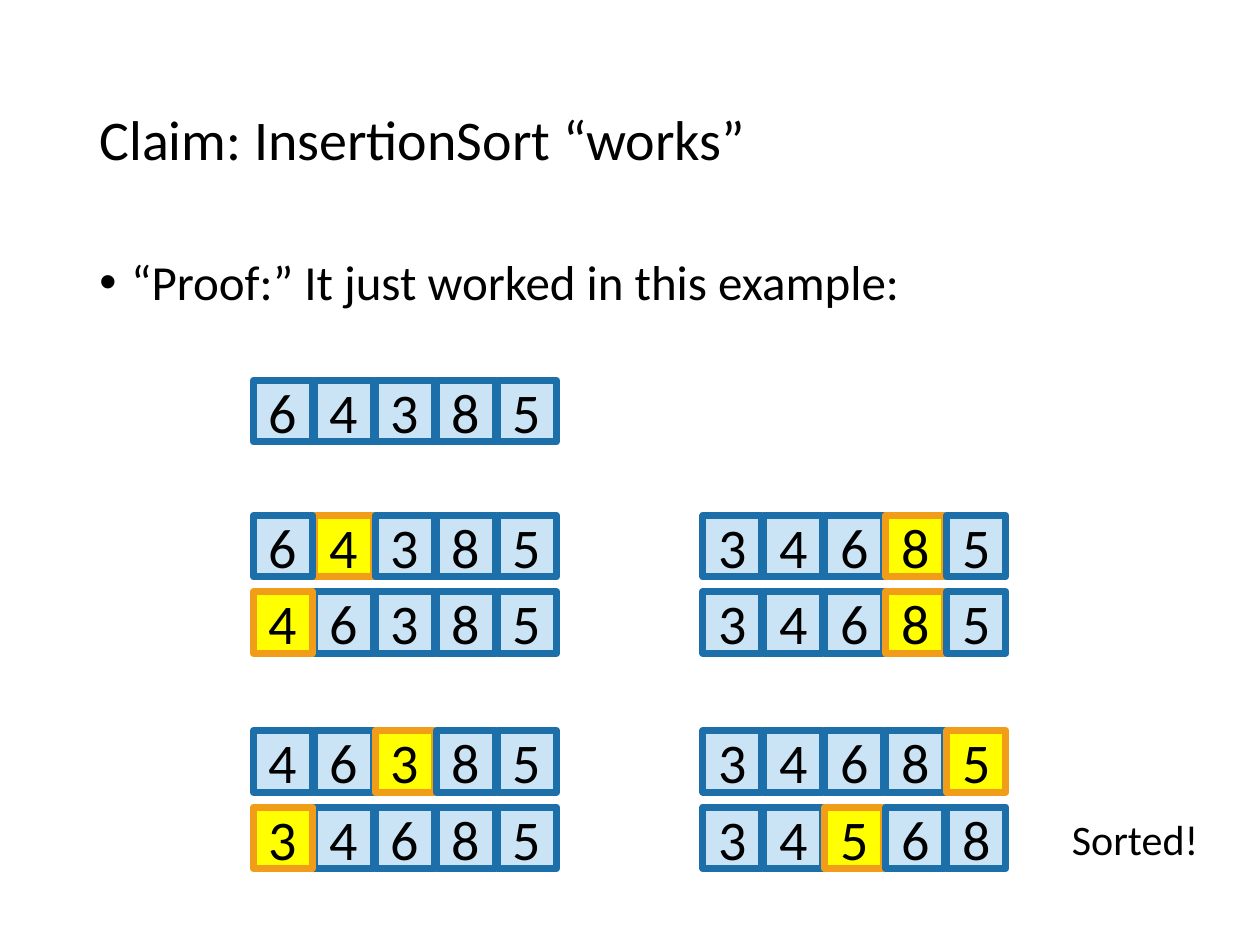
from pptx import Presentation
from pptx.dml.color import RGBColor
from pptx.enum.shapes import MSO_SHAPE
from pptx.enum.text import MSO_ANCHOR, MSO_AUTO_SIZE, PP_ALIGN
from pptx.util import Cm, Pt
from lxml.etree import SubElement
from pptx.oxml.ns import qn

BLACK = RGBColor(0x00, 0x00, 0x00)
PALE = RGBColor(0xCA, 0xE4, 0xF6)
BLUE = RGBColor(0x1D, 0x6F, 0xA9)
YELLOW = RGBColor(0xFF, 0xFF, 0x00)
ORANGE = RGBColor(0xF1, 0x9D, 0x19)

CELL_W, CELL_H, STEP = 1.19, 1.24, 1.23
PAIR_GAP = 1.54
ORDER = (1, 0, 2, 3, 4)  # first cell overlaps the second

# Each array: digits and the index of the marked cell
START = [("64385", None)]
# Each step: left, top, and its arrays from top to bottom
STEPS = [
    (5.11, 7.67, START),
    (5.11, 10.39, [("64385", 1), ("46385", 0)]),
    (5.11, 14.73, [("46385", 2), ("34685", 0)]),
    (14.17, 10.39, [("34685", 3), ("34685", 3)]),
    (14.17, 14.73, [("34685", 4), ("34568", 2)]),
]


def place(shape, left, top, width, height):
    shape.left, shape.top = Cm(left), Cm(top)
    shape.width, shape.height = Cm(width), Cm(height)


def style(para, size, align=PP_ALIGN.LEFT):
    para.alignment = align
    for run in para.runs:
        run.font.name = "Calibri"
        run.font.size = Pt(size)
        run.font.color.rgb = BLACK


def add_title(slide, box):
    title = slide.shapes.title
    place(title, *box)
    frame = title.text_frame
    frame.text = "Claim: InsertionSort “works”"
    frame.auto_size = MSO_AUTO_SIZE.NONE
    frame.vertical_anchor = MSO_ANCHOR.MIDDLE
    para = frame.paragraphs[0]
    para.line_spacing = 0.9
    style(para, 32)


def add_body(slide, box):
    body = slide.placeholders[1]
    place(body, *box)
    frame = body.text_frame
    frame.text = "“Proof:” It just worked in this example:"
    frame.auto_size = MSO_AUTO_SIZE.NONE
    para = frame.paragraphs[0]
    props = para._p.get_or_add_pPr()
    props.set("marL", str(Cm(0.64)))
    props.set("indent", str(-Cm(0.64)))
    SubElement(props, qn("a:buFont")).set("typeface", "Arial")
    SubElement(props, qn("a:buChar")).set("char", "•")
    para.line_spacing = 0.9
    para.space_before = Pt(0)
    style(para, 28)


def add_cell(group, left, top, digit, marked):
    cell = group.shapes.add_shape(
        MSO_SHAPE.RECTANGLE, Cm(left), Cm(top), Cm(CELL_W), Cm(CELL_H))
    cell.shadow.inherit = False
    cell.fill.solid()
    cell.fill.fore_color.rgb = YELLOW if marked else PALE
    cell.line.color.rgb = ORANGE if marked else BLUE
    cell.line.width = Pt(4)
    frame = cell.text_frame
    frame.text = digit
    frame.vertical_anchor = MSO_ANCHOR.MIDDLE
    style(frame.paragraphs[0], 32, PP_ALIGN.CENTER)


def add_step(slide, left, top, arrays):
    for row, (digits, mark) in enumerate(arrays):
        group = slide.shapes.add_group_shape()
        for col in ORDER:
            add_cell(group, left + col * STEP, top + row * PAIR_GAP,
                     digits[col], col == mark)


def add_note(slide, box):
    note = slide.shapes.add_textbox(*map(Cm, box))
    frame = note.text_frame
    frame.word_wrap = True
    frame.text = "Sorted!"
    style(frame.paragraphs[0], 24)


def main():
    deck = Presentation()
    deck.slide_width, deck.slide_height = Cm(25.4), Cm(19.05)
    slide = deck.slides.add_slide(deck.slide_layouts[1])

    # Heading and claim
    add_title(slide, (1.75, 1.02, 21.9, 3.68))
    add_body(slide, (1.75, 5.08, 21.9, 12.09))

    # Arrays before and after each insertion
    for left, top, arrays in STEPS:
        add_step(slide, left, top, arrays)

    # Closing remark
    add_note(slide, (21.36, 16.28, 3.28, 1.27))

    deck.save("out.pptx")


if __name__ == "__main__":
    main()
